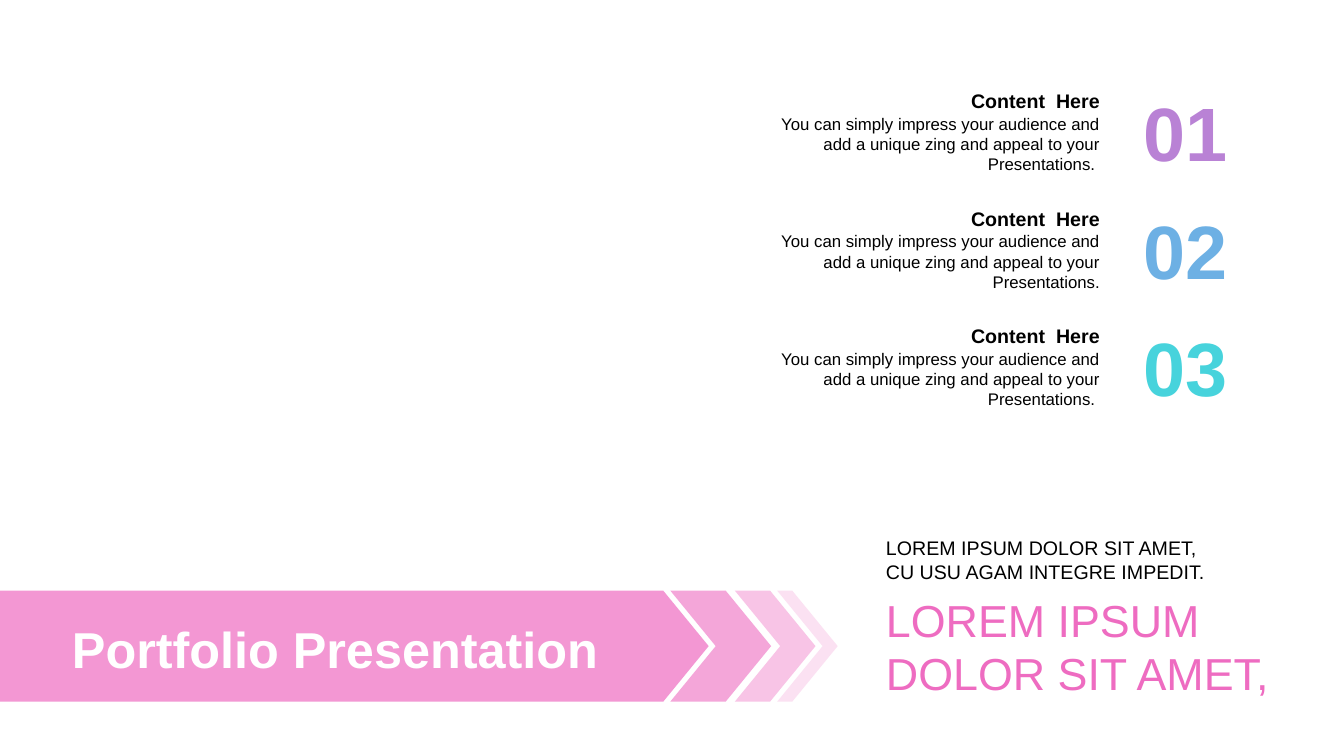
from lxml import etree
from pptx import Presentation
from pptx import util as u
from pptx.dml.color import RGBColor
from pptx.enum import shapes, text
from pptx.oxml.ns import qn

WIDE, HIGH = u.Inches(13.333), u.Inches(7.5)
COL, ROW = WIDE / 100, HIGH / 100
TIP = 0.45

BLACK = RGBColor(0x00, 0x00, 0x00)
WHITE = RGBColor(0xFF, 0xFF, 0xFF)
PINK = RGBColor(0xEE, 0x6C, 0xC1)
PURPLE = RGBColor(0xB9, 0x82, 0xD5)
BLUE = RGBColor(0x6D, 0xB0, 0xE4)
TEAL = RGBColor(0x47, 0xD3, 0xDC)

LEFT, MID, RIGHT = text.PP_ALIGN.LEFT, text.PP_ALIGN.CENTER, text.PP_ALIGN.RIGHT
TOP, CENTER = text.MSO_ANCHOR.TOP, text.MSO_ANCHOR.MIDDLE
BLURB = ("You can simply impress your audience and add a unique zing "
         "and appeal to your Presentations.")
ITEMS = [("01", PURPLE, BLURB + " "), ("02", BLUE, BLURB), ("03", TEAL, BLURB + " ")]
ARROWS = [
    (shapes.MSO_SHAPE.CHEVRON, 54.68, 6, 40),
    (shapes.MSO_SHAPE.PENTAGON, 0, 52.73, 70),
    (shapes.MSO_SHAPE.CHEVRON, 57.83, 4.5, 20),
    (shapes.MSO_SHAPE.CHEVRON, 49.88, 7.5, 60),
]


def grid(x, y, w, h):
    return [round(n) for n in (x * COL, y * ROW, w * COL, h * ROW)]


def write(frame, words, size, color, bold=False, align=LEFT, anchor=CENTER):
    frame.text = words
    frame.word_wrap = True
    frame.vertical_anchor = anchor
    for para in frame.paragraphs:
        para.alignment = align
        for run in para.runs:
            run.font.name = "Arial"
            run.font.size = u.Pt(size)
            run.font.bold = bold
            run.font.color.rgb = color


def label(slide, cell, *args, **look):
    frame = slide.shapes.add_textbox(*grid(*cell)).text_frame
    write(frame, *args, **look)
    frame.auto_size = text.MSO_AUTO_SIZE.SHAPE_TO_FIT_TEXT
    return frame


def item(slide, y, mark, color, blurb):
    frame = label(slide, (83.78, y, 8.85, 13.47), mark, 54, color, bold=True, align=MID)
    frame.margin_left = frame.margin_right = u.Inches(0.12)
    label(slide, (56.4, y + 0.4, 26.18, 4.53), "Content  Here", 14, BLACK,
          bold=True, align=RIGHT)
    label(slide, (56.48, y + 3.73, 26.1, 9.47), blurb, 12, BLACK,
          align=RIGHT, anchor=TOP)


def arrow(slide, kind, x, w, alpha):
    shape = slide.shapes.add_shape(kind, *grid(x, 78.13, w, 14.67))
    shape.adjustments[0] = u.Inches(TIP) / min(shape.width, shape.height)
    shape.shadow.inherit = False
    shape.line.fill.background()
    shape.fill.solid()
    shape.fill.fore_color.rgb = PINK
    tint = shape.element.spPr.find(qn("a:solidFill"))[0]
    etree.SubElement(tint, qn("a:alpha")).set("val", str(alpha * 1000))


def banner(slide):
    for part in ARROWS:
        arrow(slide, *part)
    title = slide.shapes.title
    title.left, title.top, title.width, title.height = grid(3.9, 75.73, 42.08, 19.33)
    write(title.text_frame, "Portfolio Presentation", 36, WHITE, bold=True, align=MID)
    title.text_frame.auto_size = text.MSO_AUTO_SIZE.NONE
    title.text_frame.paragraphs[0].line_spacing = 1.1
    slide.shapes.element.append(title.element)


def main():
    deck = Presentation()
    deck.slide_width, deck.slide_height = WIDE, HIGH
    slide = deck.slides.add_slide(deck.slide_layouts[5])
    label(slide, (65.18, 70.27, 30.38, 7.6),
          "LOREM IPSUM DOLOR SIT AMET,\nCU USU AGAM INTEGRE IMPEDIT.", 14, BLACK)
    label(slide, (65.18, 77.6, 30.38, 15.73),
          "LOREM IPSUM\nDOLOR SIT AMET,", 32, PINK)
    for i, entry in enumerate(ITEMS):
        item(slide, 10.67 + 15.53 * i, *entry)
    banner(slide)
    deck.save("out.pptx")


if __name__ == "__main__":
    main()
